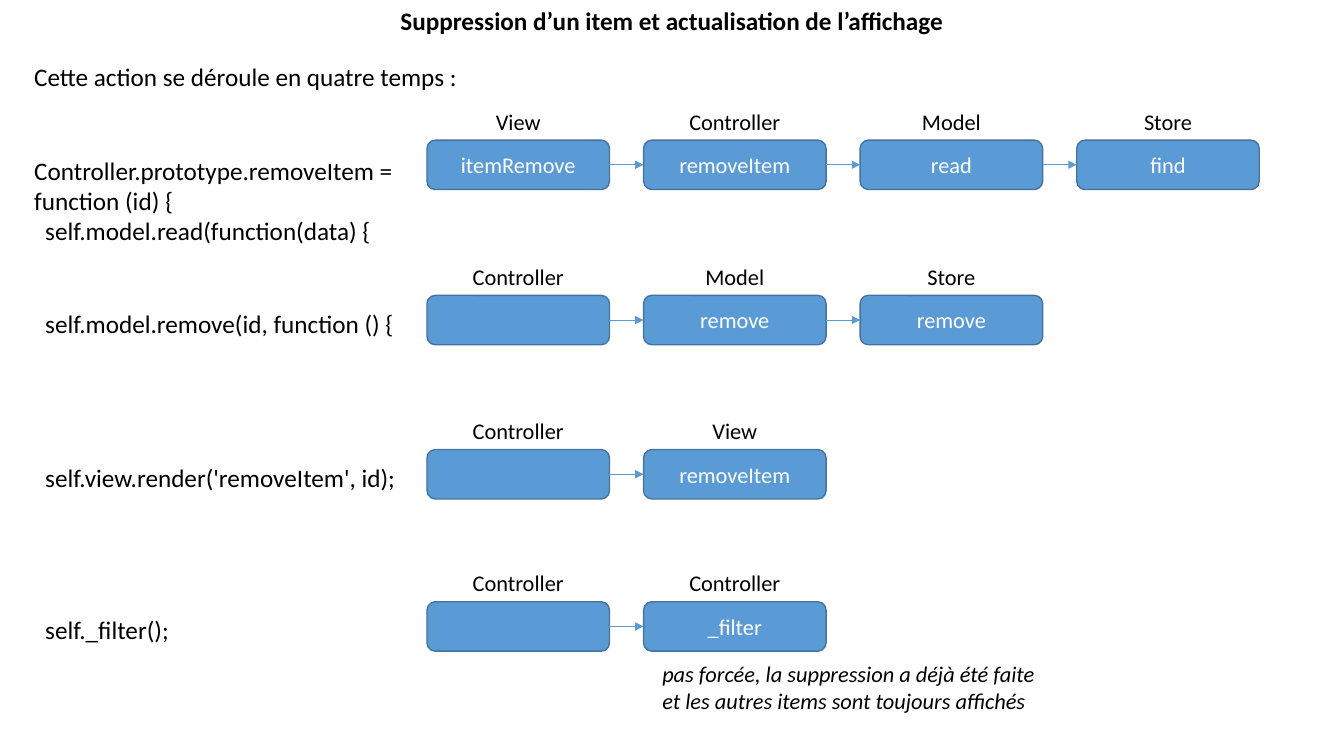
"""Build the slide on removing an item and refreshing the display."""
from pptx import Presentation
from pptx.dml.color import RGBColor
from pptx.enum.shapes import MSO_CONNECTOR, MSO_SHAPE
from pptx.enum.text import MSO_ANCHOR, PP_ALIGN
from pptx.oxml.ns import qn
from pptx.util import Inches, Pt
from lxml import etree

LEFT, MID = PP_ALIGN.LEFT, PP_ALIGN.CENTER
CENTER = MSO_ANCHOR.MIDDLE
ROUND = MSO_SHAPE.ROUNDED_RECTANGLE
LINE = MSO_CONNECTOR.STRAIGHT
FONT, BLACK, WHITE = "Calibri", "000000", "FFFFFF"
BLUE, EDGE = "5B9BD5", "43739E"

TEXTS = [
    ((0, 0, 13.33, 0.4), ["Suppression d’un item et actualisation de l’affichage"],
     {"align": MID, "bold": True}),
    ((0.24, 0.56, 5.96, 0.4), ["Cette action se déroule en quatre temps :"], {}),
    ((0.24, 1.49, 3.79, 0.7), ["Controller.prototype.removeItem = function (id) {"], {}),
    ((6.47, 6.5, 3.99, 0.64),
     ["pas forcée, la suppression a déjà été faite et les autres items sont toujours affichés"],
     {"size": 16, "italic": True}),
]
TEXTS[2][1].append("self.model.read(function(data) {")

STEPS = [
    (1.39, None, [("View", "itemRemove"), ("Controller", "removeItem"),
                  ("Model", "read"), ("Store", "find")]),
    (2.93, "self.model.remove(id, function () {",
     [("Controller", ""), ("Model", "remove"), ("Store", "remove")]),
    (4.46, "self.view.render('removeItem', id);",
     [("Controller", ""), ("View", "removeItem")]),
    (5.97, "self._filter();", [("Controller", ""), ("Controller", "_filter")]),
]
START, PITCH, WIDE, HIGH = 4.235, 2.148, 1.81, 0.49
LABEL, HEAD = 1.39, 0.37
INDENT = 0.11


def rgb(code):
    return RGBColor.from_string(code)


def write(frame, lines, size=18, color=BLACK, align=LEFT, **look):
    frame.word_wrap = True
    for i, line in enumerate(lines):
        para = frame.paragraphs[0] if i == 0 else frame.add_paragraph()
        para.alignment = align
        if line.startswith("self."):
            para._p.get_or_add_pPr().set("marL", str(Inches(INDENT)))
        run = para.add_run()
        run.text = line
        run.font.color.rgb = rgb(color)
        for key, val in {"name": FONT, "size": Pt(size), **look}.items():
            setattr(run.font, key, val)


def label(spot, lines, **look):
    box = slide.shapes.add_textbox(*map(Inches, spot))
    write(box.text_frame, lines, **look)


def block(x, y, word):
    box = slide.shapes.add_shape(ROUND, *map(Inches, (x, y, WIDE, HIGH)))
    box.shadow.inherit = False
    box.fill.solid()
    box.fill.fore_color.rgb = rgb(BLUE)
    box.line.color.rgb = rgb(EDGE)
    box.line.width = Pt(1)
    box.text_frame.vertical_anchor = CENTER
    if word:
        write(box.text_frame, [word], size=16, color=WHITE, align=MID)


def arrow(x, y, end):
    link = slide.shapes.add_connector(LINE, *map(Inches, (x, y, end, y)))
    link.line.color.rgb = rgb(BLUE)
    link.line.width = Pt(0.5)
    etree.SubElement(link.line._get_or_add_ln(), qn("a:tailEnd"), type="triangle")
    etree.SubElement(link._element.spPr, qn("a:effectLst"))


deck = Presentation()
deck.slide_width, deck.slide_height = Inches(13.33), Inches(7.5)
slide = deck.slides.add_slide(deck.slide_layouts[6])

for spot, lines, look in TEXTS:
    label(spot, lines, **look)

for top, code, chain in STEPS:
    if code:
        label((0.24, top + 0.08, 3.9, 0.4), [code])
    for i, (role, word) in enumerate(chain):
        x = START + i * PITCH
        block(x, top, word)
        label((x + (WIDE - LABEL) / 2, top - HEAD, LABEL, HEAD), [role],
              size=16, align=MID)
        if i:
            arrow(x - PITCH + WIDE, top + HIGH / 2, x)

deck.save("out.pptx")
